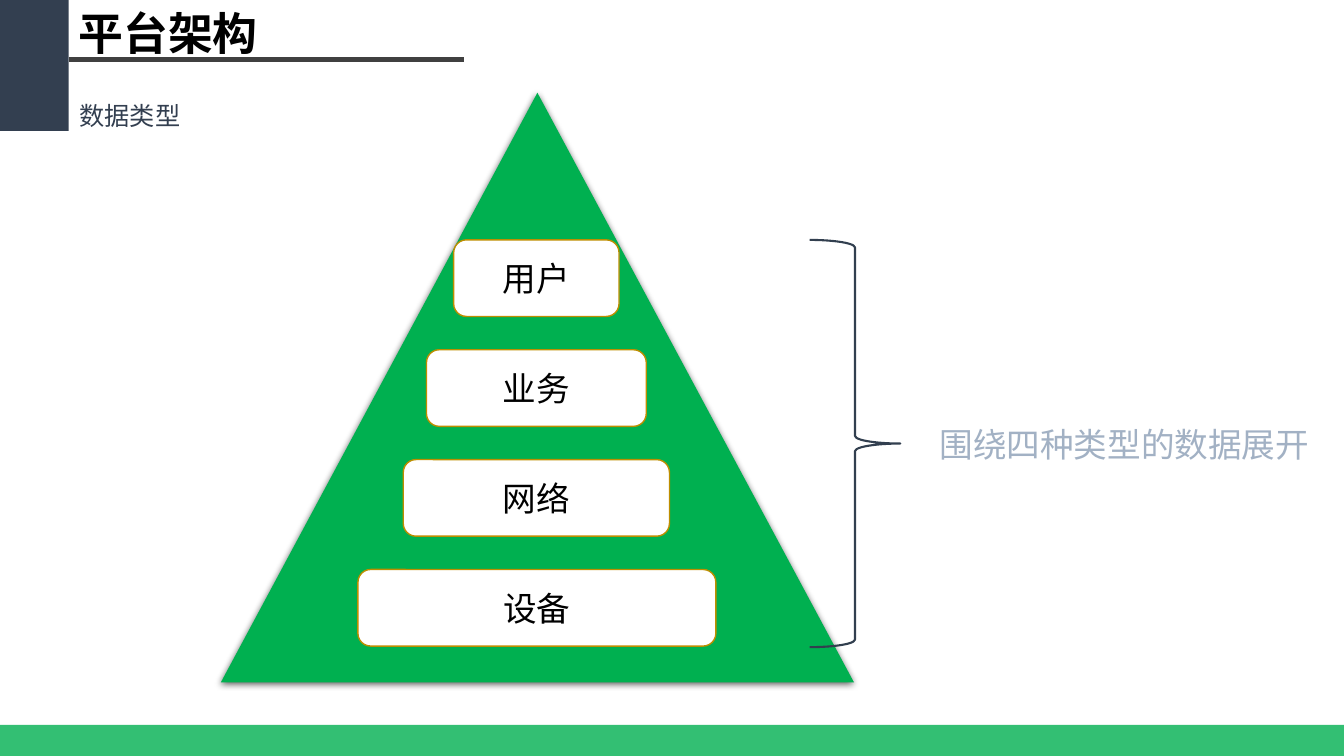
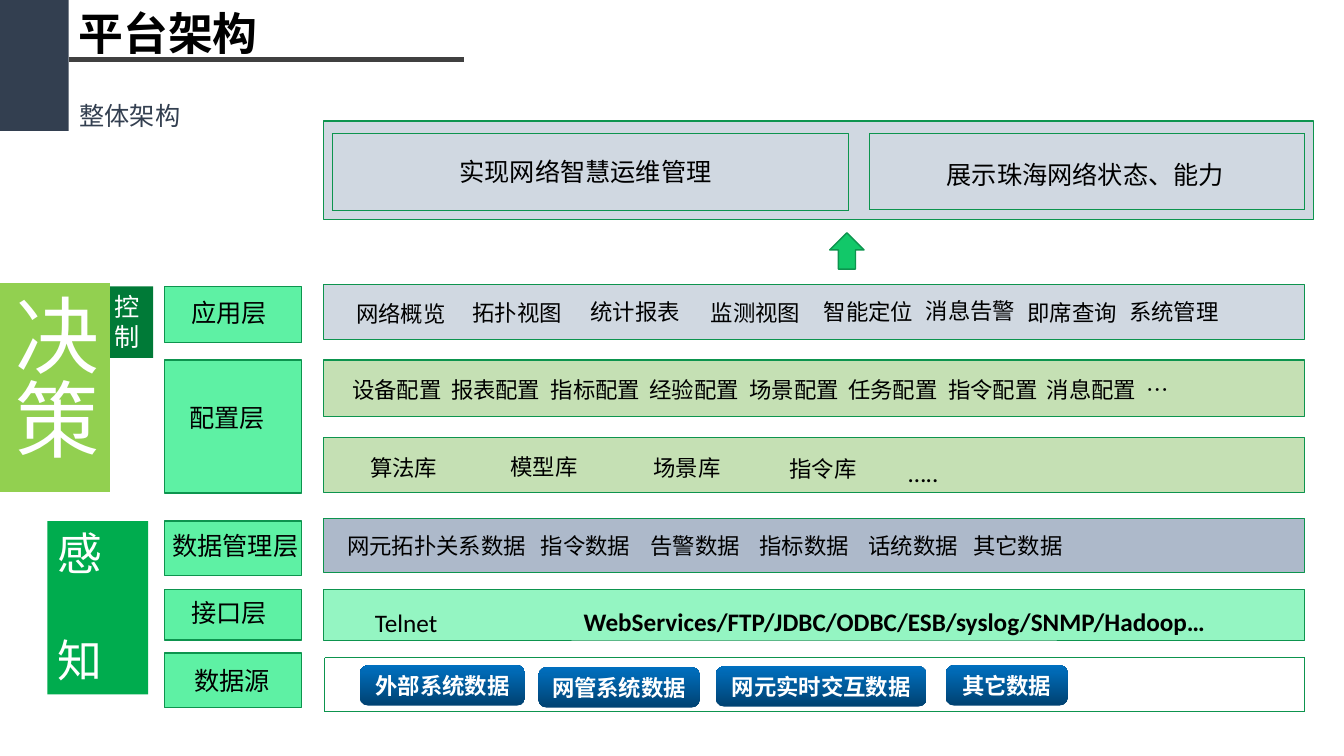
from lxml.etree import SubElement
from pptx import Presentation
from pptx.dml.color import RGBColor
from pptx.enum.dml import MSO_LINE
from pptx.enum.shapes import MSO_CONNECTOR, MSO_SHAPE
from pptx.enum.text import MSO_ANCHOR, PP_ALIGN
from pptx.oxml.ns import qn
from pptx.util import Emu, Pt

PX = 9144
CJK = "Noto Sans CJK SC"
LATIN = "Calibri"
COLORS = {
    "navy": "333F50", "rule": "404040", "green": "00B050", "gold": "BD8E00",
    "brace": "323F4F", "note": "A2B1C4", "white": "FFFFFF", "black": "000000",
    "edge": "0D944E", "mint": "5EF1A4", "pale_mint": "94F5C2", "sage": "C5E0B4",
    "mist": "D0D8E1", "slate": "ADB9CA", "arrow": "12C869", "sense": "00AC4E",
    "control": "007A37", "decide": "92D050", "blue_dark": "004272", "blue": "0070C0",
}


def rgb(color):
    return RGBColor.from_string(COLORS[color])


def add_block(slide, kind, x, y, w, h, fill=None, line=None, weight=1, text="",
              size=18, font=CJK, color="black", bold=False, center=False,
              label=False, wrap=True, tabs=()):
    frame = [Emu(v * PX) for v in (x, y, w, h)]
    if kind is None:
        block = slide.shapes.add_textbox(*frame)
    else:
        block = slide.shapes.add_shape(kind, *frame)
        block.shadow.inherit = False
        if fill:
            block.fill.solid()
            block.fill.fore_color.rgb = rgb(fill)
        else:
            block.fill.background()
        if line:
            block.line.color.rgb = rgb(line)
            block.line.width = Pt(weight)
        else:
            block.line.fill.background()
    body = block.text_frame
    body.word_wrap = wrap
    body.vertical_anchor = MSO_ANCHOR.MIDDLE if center or label else MSO_ANCHOR.TOP
    if label:
        block.adjustments[0] = 0.2
        body.margin_left = body.margin_right = Emu(4 * PX)
        body.margin_top = body.margin_bottom = Emu(4 * PX)
    if text:
        body.text = text
    for paragraph in body.paragraphs:
        paragraph.alignment = PP_ALIGN.CENTER if center else PP_ALIGN.LEFT
        if tabs:
            stops = SubElement(paragraph._p.get_or_add_pPr(), qn("a:tabLst"))
            for stop in tabs:
                SubElement(stops, qn("a:tab"), pos=str(stop * PX), algn="l")
        for run in paragraph.runs:
            run.font.size = Pt(size)
            run.font.bold = bold
            run.font.color.rgb = rgb(color)
            run.font.name = font
            SubElement(run._r.get_or_add_rPr(), qn("a:ea"), typeface=CJK)
    return block


RECT = MSO_SHAPE.RECTANGLE
ROUND = MSO_SHAPE.ROUNDED_RECTANGLE

prs = Presentation()
prs.slide_width, prs.slide_height = Emu(1333 * PX), Emu(750 * PX)
slides = []
for subtitle in ("数据类型", "整体架构"):
    slide = prs.slides.add_slide(prs.slide_layouts[6])
    add_block(slide, RECT, 0, 0, 68, 130, "navy")
    title_rule = slide.shapes.add_connector(
        MSO_CONNECTOR.STRAIGHT, *[Emu(v * PX) for v in (68, 59, 460, 59)])
    title_rule.line.color.rgb = rgb("rule")
    title_rule.line.width = Pt(3)
    SubElement(title_rule._element.spPr, qn("a:effectLst"))
    add_block(slide, None, 68, 1, 201, 64, text="平台架构", size=32, bold=True)
    add_block(slide, None, 69, 95, 431, 40, text=subtitle, font=LATIN, color="navy")
    slides.append(slide)
types_slide, layers_slide = slides

footer = add_block(types_slide, RECT, 0, 719, 1333, 31, "green")
footer_color = footer._element.spPr.find(".//" + qn("a:srgbClr"))
SubElement(footer_color, qn("a:alpha"), val="80000")

pyramid = add_block(types_slide, MSO_SHAPE.ISOSCELES_TRIANGLE, 219, 92, 628, 585, "green")
shadow = SubElement(pyramid._element.spPr.find(qn("a:effectLst")), qn("a:outerShdw"),
                    blurRad="57150", dist="19050", dir="5400000", algn="ctr", rotWithShape="0")
shadow_color = SubElement(shadow, qn("a:srgbClr"), val=COLORS["black"])
SubElement(shadow_color, qn("a:alpha"), val="63000")

for level, (data_type, width) in enumerate(
        [("用户", 164), ("业务", 218), ("网络", 264), ("设备", 355)]):
    add_block(types_slide, MSO_SHAPE.FLOWCHART_ALTERNATE_PROCESS, 532 - width // 2,
              238 + 109 * level, width, 76, "white", "gold",
              text=data_type, size=24, center=True)

brace = add_block(types_slide, MSO_SHAPE.LEFT_BRACE, 803, 238, 90, 404,
                  line="brace", weight=1.5)
brace.rotation = 180
add_block(types_slide, None, 922, 416, 387, 50, text="围绕四种类型的数据展开",
          size=24, color="note", wrap=False)

for x, y, w, h, fill, weight in [
    (321, 120, 982, 98, "mist", 1),
    (321, 282, 973, 55, "mist", 1),
    (321, 357, 973, 56, "sage", 1),
    (321, 434, 973, 54, "sage", 0.25),
    (321, 514, 973, 54, "slate", 0.25),
    (321, 585, 973, 50, "pale_mint", 0.25),
]:
    add_block(layers_slide, RECT, x, y, w, h, fill, "edge", weight)

for x, y, w, h in [(329, 132, 512, 77), (862, 132, 432, 76), (322, 652, 972, 54)]:
    dotted = add_block(layers_slide, RECT, x, y, w, h, line="edge", weight=0.25)
    dotted.line.dash_style = MSO_LINE.ROUND_DOT

add_block(layers_slide, MSO_SHAPE.UP_ARROW, 823, 231, 34, 36, "arrow", "edge")

for layer, y, h, text_x, text_y, text_w in [
    ("应用层", 284, 56, 180, 290, 108),
    ("配置层", 357, 132, 178, 394, 99),
    ("数据管理层", 517, 54, 161, 521, 167),
    ("接口层", 585, 50, 180, 588, 103),
    ("数据源", 648, 54, 183, 655, 121),
]:
    add_block(layers_slide, RECT, 163, y, 136, h, "mint", "edge")
    add_block(layers_slide, None, text_x, text_y, text_w, 40, text=layer)

for text, x, y, w, font, bold in [
    ("实现网络智慧运维管理", 446, 150, 286, CJK, False),
    ("展示珠海网络状态、能力", 929, 153, 329, CJK, False),
    ("…..", 891, 449, 151, LATIN, False),
    ("Telnet", 362, 598, 198, LATIN, False),
    ("WebServices/FTP/JDBC/ODBC/ESB/syslog/SNMP/Hadoop…", 569, 597, 651, LATIN, True),
]:
    add_block(layers_slide, None, x, y, w, 40, text=text, font=font, bold=bold)

for text, x, y, w in [
    ("网络概览", 339, 291, 117), ("拓扑视图", 460, 290, 106),
    ("统计报表", 573, 289, 114), ("监测视图", 694, 290, 111),
    ("智能定位", 813, 289, 97), ("消息告警", 914, 288, 97),
    ("即席查询", 1015, 290, 97), ("系统管理", 1116, 289, 97),
    ("算法库", 342, 444, 117), ("模型库", 481, 443, 117),
    ("场景库", 623, 444, 117), ("指令库", 758, 445, 117),
]:
    add_block(layers_slide, ROUND, x, y, w, 40, text=text, size=16,
              center=True, label=True, wrap=False)

settings = ["设备配置", "报表配置", "指标配置", "经验配置", "场景配置",
            "任务配置", "指令配置", "消息配置", "…"]
datasets = ["网元拓扑关系数据", "指令数据", "告警数据", "指标数据", "话统数据", "其它数据"]
for items, x, y, w, tabs in [
    (settings, 343, 367, 911, [985 * n // 10 for n in range(1, len(settings))]),
    (datasets, 338, 521, 939, [192, 301, 409, 517, 621]),
]:
    add_block(layers_slide, ROUND, x, y, w, 40, text="\t".join(items), size=16,
              label=True, tabs=tabs)

for source, x, y, w in [
    ("外部系统数据", 357, 660, 164), ("网管系统数据", 534, 662, 160),
    ("网元实时交互数据", 710, 661, 209), ("其它数据", 938, 660, 121),
]:
    button = add_block(layers_slide, ROUND, x, y, w, 40, text=source, size=16,
                       color="white", bold=True, center=True, label=True, wrap=False)
    button.fill.gradient()
    button.fill.gradient_angle = 90
    for stop, shade in zip(button.fill.gradient_stops, ("blue_dark", "blue")):
        stop.color.rgb = rgb(shade)

sense = add_block(layers_slide, RECT, 47, 517, 100, 172, "sense", text="感\n知",
                  size=32, font=LATIN, color="white")
sense.text_frame.paragraphs[1].space_before = Pt(38)
add_block(layers_slide, RECT, 104, 284, 48, 71, "control", text="控制",
          font=LATIN, color="white")
decide = add_block(layers_slide, RECT, -12, 281, 121, 207, "decide", text="决策",
                   size=60, font=LATIN, color="white")
decide.text_frame._txBody.bodyPr.set("vert", "eaVert")

prs.save("out.pptx")
